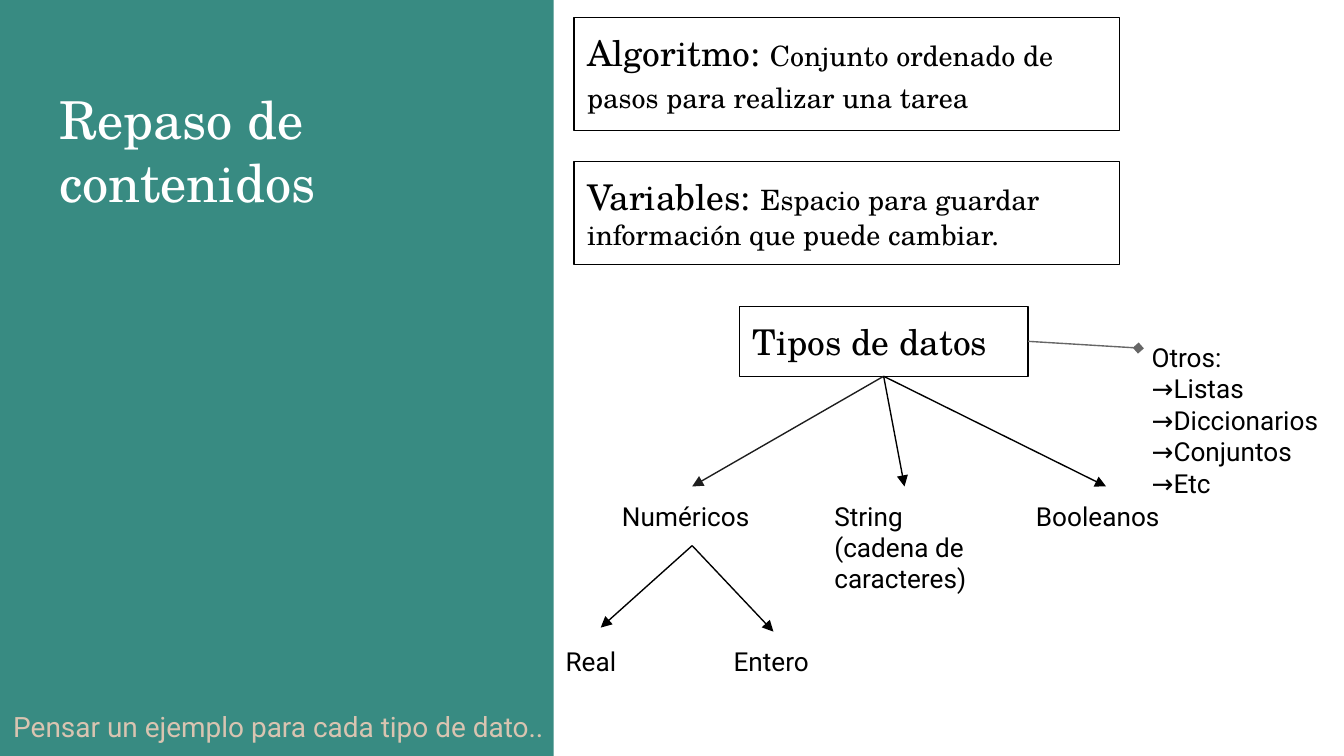
from lxml import etree
from pptx import Presentation
from pptx.dml.color import RGBColor
from pptx.enum import shapes, text
from pptx.oxml.ns import qn
from pptx.util import Inches, Pt

SERIF, SANS = "TeX Gyre Schola", "Roboto"
TOP, BOTTOM, RIGHT = 0, 2, 3  # connection sites of a rectangle
SLIDE_WIDTH = Inches(10)
SLIDE_HEIGHT = Inches(10 * 9 / 16)  # widescreen


def color(value):
    return RGBColor.from_string(value)


def set_font(font, name, size, value="000000"):
    font.name, font.size = name, Pt(size)
    font.color.rgb = color(value)


def set_frame(frame):
    frame.word_wrap = True
    frame.auto_size = text.MSO_AUTO_SIZE.NONE
    frame.vertical_anchor = text.MSO_ANCHOR.TOP
    frame.margin_left = frame.margin_right = Inches(0.1)
    frame.margin_top = frame.margin_bottom = Inches(0.1)


def add_panel(slide):
    panel = slide.shapes.add_shape(shapes.MSO_SHAPE.RECTANGLE, 0, 0,
                                   Inches(4.12), SLIDE_HEIGHT)
    panel.shadow.inherit = False
    panel.fill.solid()
    panel.fill.fore_color.rgb = color("388B82")
    panel.line.fill.background()
    # Send the panel behind the title
    slide.shapes._spTree.insert(2, panel._element)


def set_title(slide, words):
    title = slide.shapes.title
    title.left, title.top = Inches(0.34), Inches(0.55)
    title.width, title.height = Inches(3.42), Inches(4.49)
    set_frame(title.text_frame)
    title.text_frame.text = words
    paragraph = title.text_frame.paragraphs[0]
    paragraph.alignment = text.PP_ALIGN.LEFT
    set_font(paragraph.font, SERIF, 28, "FFFFFF")


def add_box(slide, place, runs):
    """Outlined box whose runs are (words, size) pairs."""
    box = slide.shapes.add_shape(shapes.MSO_SHAPE.RECTANGLE,
                                 *map(Inches, place))
    box.shadow.inherit = False
    box.fill.background()
    box.line.color.rgb = color("000000")
    box.line.width = Pt(0.75)
    set_frame(box.text_frame)
    paragraph = box.text_frame.paragraphs[0]
    paragraph.alignment = text.PP_ALIGN.LEFT
    for words, size in runs:
        run = paragraph.add_run()
        run.text = words
        set_font(run.font, SERIF, size)
    return box


def add_label(slide, place, lines, size=14, value="000000"):
    label = slide.shapes.add_textbox(*map(Inches, place))
    set_frame(label.text_frame)
    label.text_frame.text = "\n".join(lines)
    for paragraph in label.text_frame.paragraphs:
        set_font(paragraph.font, SANS, size, value)
    return label


def add_link(slide, source, site, target=None, point=(0, 0),
             value="000000", head="triangle"):
    """Arrow from a site of source to the top of target, or to a point."""
    link = slide.shapes.add_connector(shapes.MSO_CONNECTOR.STRAIGHT,
                                      0, 0, *map(Inches, point))
    link.begin_connect(source, site)
    if target is not None:
        link.end_connect(target, TOP)
    link.line.color.rgb = color(value)
    link.line.width = Pt(0.75)
    etree.SubElement(link.line._get_or_add_ln(), qn("a:tailEnd"), type=head)
    etree.SubElement(link._element.spPr, qn("a:effectLst"))


def main():
    presentation = Presentation()
    presentation.slide_width = SLIDE_WIDTH
    presentation.slide_height = SLIDE_HEIGHT
    slide = presentation.slides.add_slide(presentation.slide_layouts[5])

    # Left panel
    add_panel(slide)
    set_title(slide, "Repaso de contenidos")
    prompt = add_label(slide, (0, 5.14, 4.42, 0.5),
                       ["Pensar un ejemplo para cada tipo de dato.."],
                       15, "D9C4B1")
    prompt.text_frame.paragraphs[0].line_spacing = 1.15

    # Definitions
    add_box(slide, (4.27, 0.13, 4.06, 0.84),
            [("Algoritmo: ", 19),
             ("Conjunto ordenado de pasos para realizar una tarea", 15),
             (" ", 19)])
    add_box(slide, (4.27, 1.2, 4.06, 0.77),
            [("Variables: ", 19),
             ("Espacio para guardar información que puede cambiar.", 15)])

    # Tree of data types
    root = add_box(slide, (5.5, 2.28, 2.15, 0.52), [("Tipos de datos", 19)])
    numbers = add_label(slide, (4.53, 3.62, 1.24, 0.44), ["Numéricos"])
    strings = add_label(slide, (6.11, 3.62, 1.24, 0.91),
                        ["String", "(cadena de caracteres)"])
    booleans = add_label(slide, (7.61, 3.62, 1.24, 0.44), ["Booleanos"])
    add_label(slide, (4.11, 4.7, 0.59, 0.44), ["Real"])
    integer = add_label(slide, (5.36, 4.7, 0.79, 0.44), ["Entero"])
    add_label(slide, (8.47, 2.44, 1.79, 1.38),
              ["Otros:", "→Listas", "→Diccionarios", "→Conjuntos", "→Etc"])

    # Arrows
    add_link(slide, root, BOTTOM, numbers, value="1E1E1E")
    add_link(slide, root, BOTTOM, strings)
    add_link(slide, root, BOTTOM, booleans)
    add_link(slide, numbers, BOTTOM, point=(4.47, 4.67))
    add_link(slide, numbers, BOTTOM, integer)
    add_link(slide, root, RIGHT, point=(8.47, 2.59),
             value="666666", head="diamond")

    presentation.save("out.pptx")


if __name__ == "__main__":
    main()
